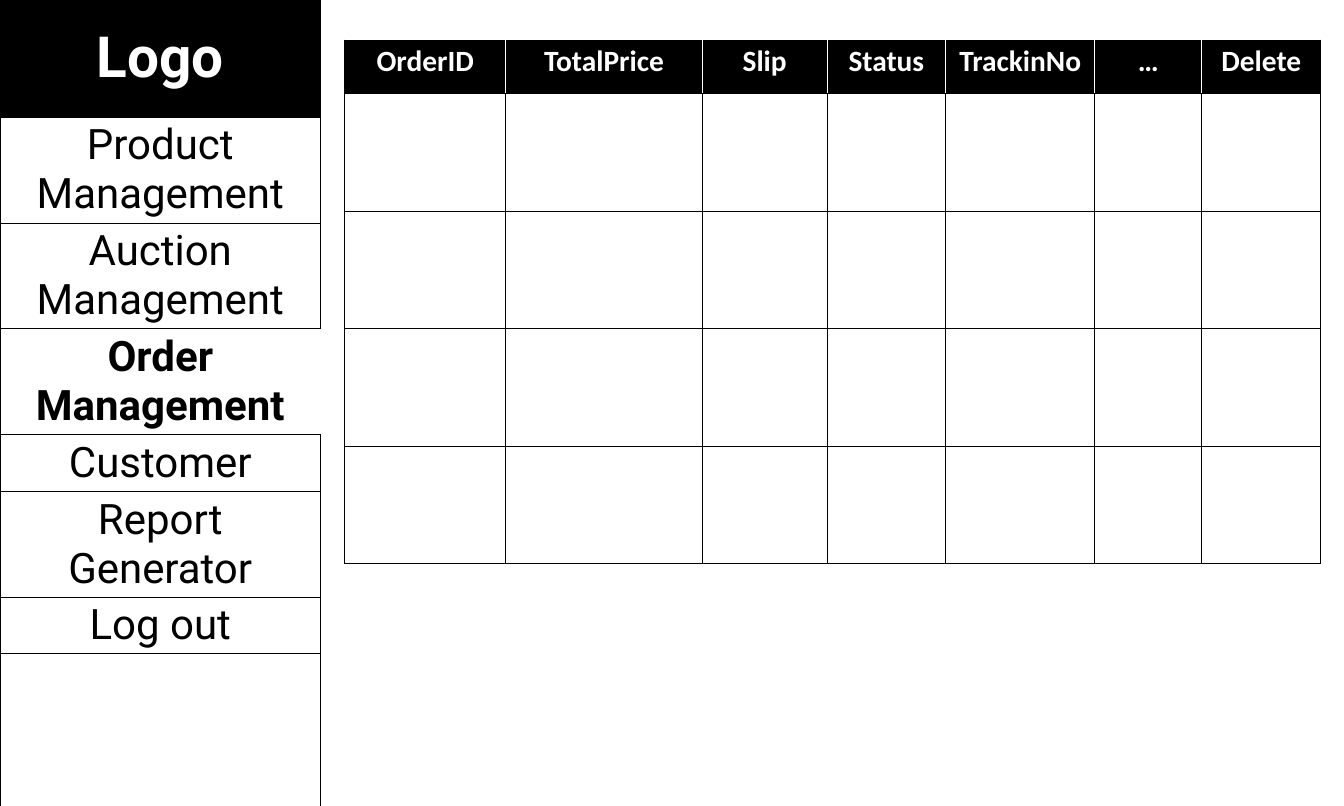
from lxml.etree import SubElement
from pptx import Presentation
from pptx.dml.color import RGBColor
from pptx.enum.text import MSO_ANCHOR, PP_ALIGN
from pptx.oxml.ns import qn
from pptx.util import Inches, Pt

COLORS = {"ink": "000000", "paper": "FFFFFF"}
SIDES = "LRTB"

MENU = ["Logo", "Product Management", "Auction Management", "Order Management",
        "Customer", "Report Generator", "Log out", ""]
MENU_HEIGHTS = [1.55] + [0.71] * 6 + [4.53]
ACTIVE_PAGE = "Order Management"

ORDER_COLUMNS = {"OrderID": 2.13, "TotalPrice": 2.6, "Slip": 1.65, "Status": 1.57,
                 "TrackinNo": 1.97, "…": 1.42, "Delete": 1.57}
HEADER_HEIGHT = 0.71
ORDER_ROWS = 4


def add_grid(slide, box, widths, heights):
    """Add an unbanded table with the given column widths and row heights."""
    grid = slide.shapes.add_table(len(heights), len(widths), *map(Inches, box)).table
    grid.first_row = grid.horz_banding = False
    for column, width in zip(grid.columns, widths):
        column.width = Inches(width)
    for row, height in zip(grid.rows, heights):
        row.height = Inches(height)
    return grid


def style_cell(cell, fill, borders, weight):
    """Fill a cell and draw its borders, given as a side-to-colour dict."""
    cell.fill.solid()
    cell.fill.fore_color.rgb = RGBColor.from_string(COLORS[fill])
    cell.margin_left = cell.margin_right = Inches(0.13)
    cell.margin_top = cell.margin_bottom = Inches(0.05)
    properties = cell._tc.get_or_add_tcPr()
    for position, side in enumerate(SIDES):
        line = SubElement(properties, qn(f"a:ln{side}"), w=str(Pt(weight)))
        if side in borders:
            paint = SubElement(line, qn("a:solidFill"))
            SubElement(paint, qn("a:srgbClr"), val=COLORS[borders[side]])
        else:
            SubElement(line, qn("a:noFill"))
        properties.insert(position, line)


def write_label(cell, label, font, size, color, bold):
    """Write one centred label into a cell."""
    paragraph = cell.text_frame.paragraphs[0]
    paragraph.alignment = PP_ALIGN.CENTER
    run = paragraph.add_run()
    run.text = label
    run.font.name = font
    run.font.size = Pt(size)
    run.font.bold = bold
    run.font.color.rgb = RGBColor.from_string(COLORS[color])


def add_sidebar(slide, box):
    """Add the navigation menu; the active page is open on its right side."""
    menu = add_grid(slide, box, [box[2]], MENU_HEIGHTS)
    for index, label in enumerate(MENU):
        cell = menu.cell(index, 0)
        is_logo, is_active = index == 0, label == ACTIVE_PAGE
        sides = "LTB" if is_active else SIDES
        style_cell(cell, "ink" if is_logo else "paper", dict.fromkeys(sides, "ink"), 0.75)
        cell.vertical_anchor = MSO_ANCHOR.MIDDLE
        if label:
            write_label(cell, label, "Roboto", 54 if is_logo else 40,
                        "paper" if is_logo else "ink", is_logo or is_active)


def add_orders(slide, box):
    """Add the order list with a dark header and equal empty rows."""
    row_height = (box[3] - HEADER_HEIGHT) / ORDER_ROWS
    heights = [HEADER_HEIGHT] + [row_height] * ORDER_ROWS
    orders = add_grid(slide, box, ORDER_COLUMNS.values(), heights)
    last = len(ORDER_COLUMNS) - 1
    for row in range(len(heights)):
        for column, heading in enumerate(ORDER_COLUMNS):
            cell = orders.cell(row, column)
            borders = dict.fromkeys(SIDES, "ink")
            if row == 0:
                if column > 0:
                    borders["L"] = "paper"
                if column < last:
                    borders["R"] = "paper"
                write_label(cell, heading, "Calibri", 28, "paper", True)
            style_cell(cell, "paper" if row else "ink", borders, 1)


presentation = Presentation()
presentation.slide_width = Inches(160) // 9
presentation.slide_height = Inches(32) // 3
order_page = presentation.slides.add_slide(presentation.slide_layouts[6])
add_sidebar(order_page, (0, 0, 4.24, 10.69))
add_orders(order_page, (4.56, 0.53, 12.91, 6.93))
presentation.save("out.pptx")
